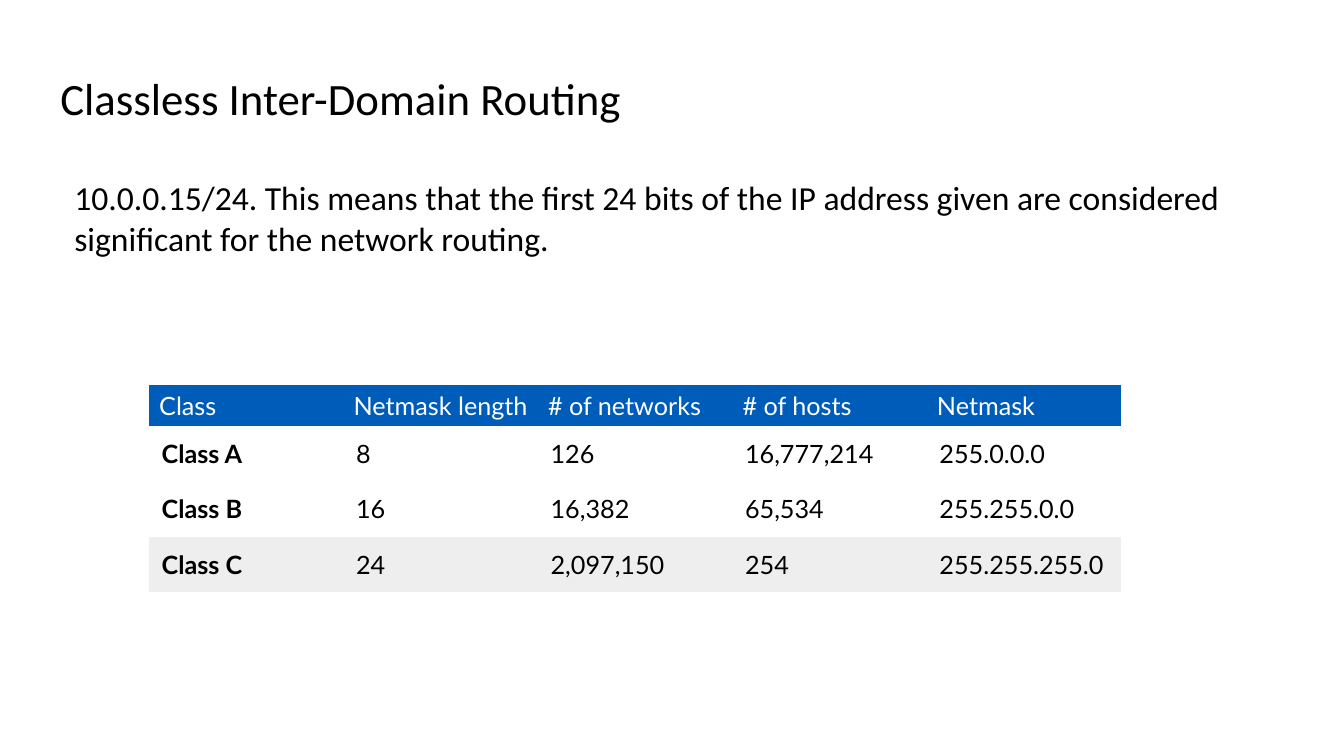
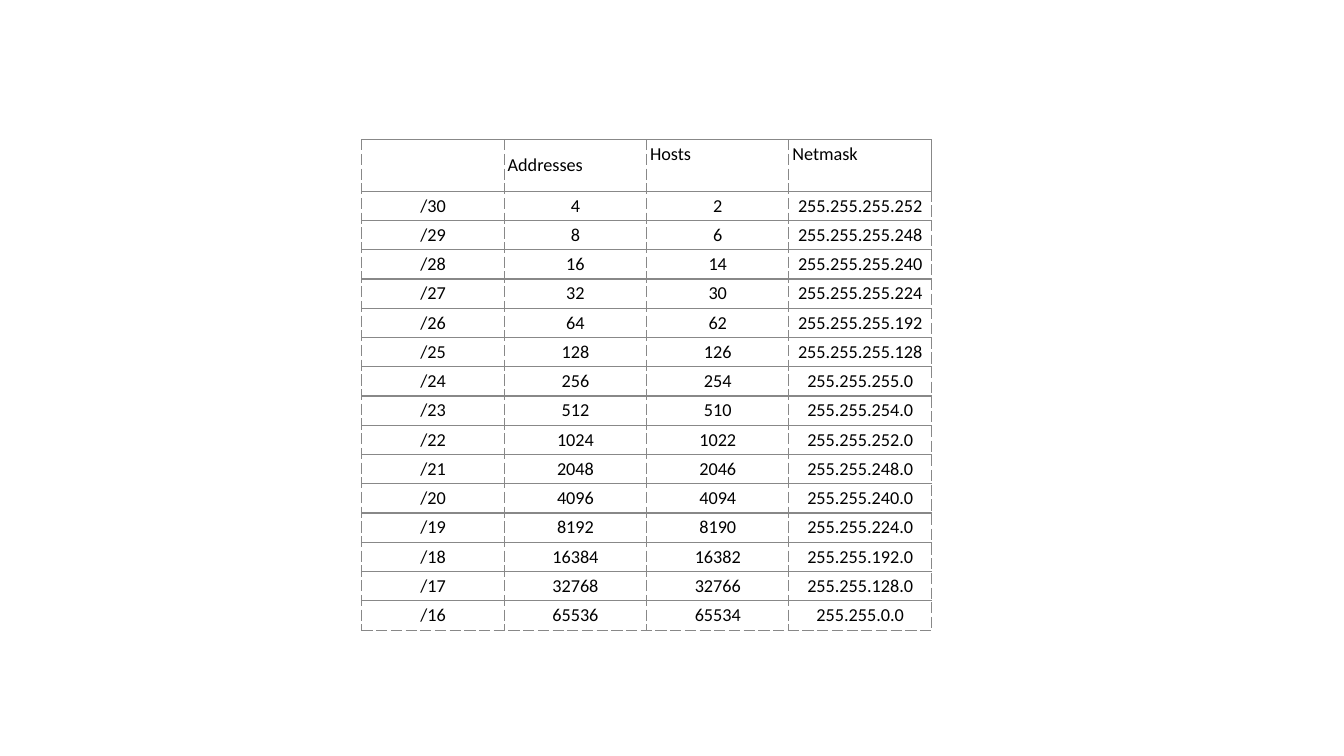
from lxml import etree
from pptx import Presentation
from pptx.dml.color import RGBColor
from pptx.enum import text
from pptx.oxml import ns
from pptx.util import Pt

BLACK, WHITE, BLUE, PALE, GREY = "000000", "FFFFFF", "005CB9", "EEEEEE", "888888"
SANS, GRID = "Calibri", "Lato"
PLAIN = "{2D5ABB26-0587-4C30-8999-92F81FD0307C}"  # table style without grid
MID, TOP = text.MSO_ANCHOR.MIDDLE, text.MSO_ANCHOR.TOP
SOLID, DASH = (1, "solid"), (0.75, "dash")

CLASSES = [
    ("Class", "Netmask length", "# of networks", "# of hosts", "Netmask"),
    ("Class A", "8", "126", "16,777,214", "255.0.0.0"),
    ("Class B", "16", "16,382", "65,534", "255.255.0.0"),
    ("Class C", "24", "2,097,150", "254", "255.255.255.0"),
]


def rgb(code):
    return RGBColor.from_string(code)


def style(para, font, size, color=BLACK, bold=False):
    for run in para.runs:
        run.font.name, run.font.size, run.font.bold = font, Pt(size), bold
        run.font.color.rgb = rgb(color)


def add_text(slide, box, words, size, wrap=True):
    frame = slide.shapes.add_textbox(*map(Pt, box)).text_frame
    frame.word_wrap = wrap
    frame.text = words
    style(frame.paragraphs[0], SANS, size)


def add_grid(slide, box, rows, cols, head, body):
    """Unstyled table with equal columns, a head row and equal body rows."""
    frame = slide.shapes.add_table(rows, cols, *map(Pt, box))
    frame.element.xpath(".//a:tableStyleId")[0].text = PLAIN
    table = frame.table
    table.first_row = table.horz_banding = False
    for col in table.columns:
        col.width = Pt(box[2] / cols)
    for i, row in enumerate(table.rows):
        row.height = Pt(body if i else head)
    return table


def fill_cell(cell, words, color, anchor, inset=None):
    cell.fill.solid()
    cell.fill.fore_color.rgb = rgb(color)
    cell.vertical_anchor = anchor
    if inset:
        cell.margin_left = cell.margin_right = Pt(inset)
        cell.margin_top = cell.margin_bottom = Pt(inset)
    cell.text = words
    return cell.text_frame.paragraphs[0]


def add_edges(cell, **edges):
    """Draw the cell borders; call before the fill is set."""
    props = cell._tc.get_or_add_tcPr()
    for side in "LRTB":
        width, dash = edges[side]
        line = etree.SubElement(props, ns.qn("a:ln" + side), w=str(Pt(width)))
        paint = etree.SubElement(line, ns.qn("a:solidFill"))
        etree.SubElement(paint, ns.qn("a:srgbClr"), val=GREY)
        etree.SubElement(line, ns.qn("a:prstDash"), val=dash)


def class_table(slide, box):
    table = add_grid(slide, box, len(CLASSES), len(CLASSES[0]), 29.2, 39.4)
    last = len(CLASSES) - 1
    for i, row in enumerate(CLASSES):
        for j, words in enumerate(row):
            cell = table.cell(i, j)
            if i == 0:
                style(fill_cell(cell, words, BLUE, MID), GRID, 18, WHITE)
            else:
                shade = PALE if i == last else WHITE
                para = fill_cell(cell, words, shade, TOP, 9)
                style(para, GRID, 18, bold=j == 0)


def mask_row(bits):
    """Prefix, address count, host count and dotted mask."""
    count = 2 ** (32 - bits)
    mask = 2 ** 32 - count
    dots = ".".join(str(mask >> shift & 255) for shift in (24, 16, 8, 0))
    return f"/{bits}", str(count), str(count - 2), dots


def mask_table(slide, box):
    rows = [("", "Addresses", "Hosts", "Netmask")]
    rows += [mask_row(bits) for bits in range(30, 15, -1)]
    table = add_grid(slide, box, len(rows), 4, 36.8, 20.9)
    last = len(rows) - 1
    for i, row in enumerate(rows):
        for j, words in enumerate(row):
            cell = table.cell(i, j)
            add_edges(cell, L=DASH, T=SOLID,
                      R=SOLID if (i, j) == (0, 3) else DASH,
                      B=DASH if i == last else SOLID)
            anchor = TOP if i == 0 and j > 1 else MID
            para = fill_cell(cell, words, WHITE, anchor, 2.5)
            if i:
                para.alignment = text.PP_ALIGN.CENTER
            style(para, SANS, 13)


def main():
    deck = Presentation()
    deck.slide_width, deck.slide_height = Pt(960), Pt(540)
    blank = deck.slide_layouts[6]

    # Routing classes
    slide = deck.slides.add_slide(blank)
    add_text(slide, (36, 46.8, 420, 46), "Classless Inter-Domain Routing", 32, False)
    add_text(slide, (46, 123, 914, 65.5),
             "10.0.0.15/24. This means that the first 24 bits of the IP address "
             "given are considered significant for the network routing.", 24)
    class_table(slide, (106.5, 275, 694.5, 147.4))

    # Netmask sizes
    slide = deck.slides.add_slide(blank)
    mask_table(slide, (258.5, 99.8, 406.8, 350.3))

    deck.save("out.pptx")


if __name__ == "__main__":
    main()
